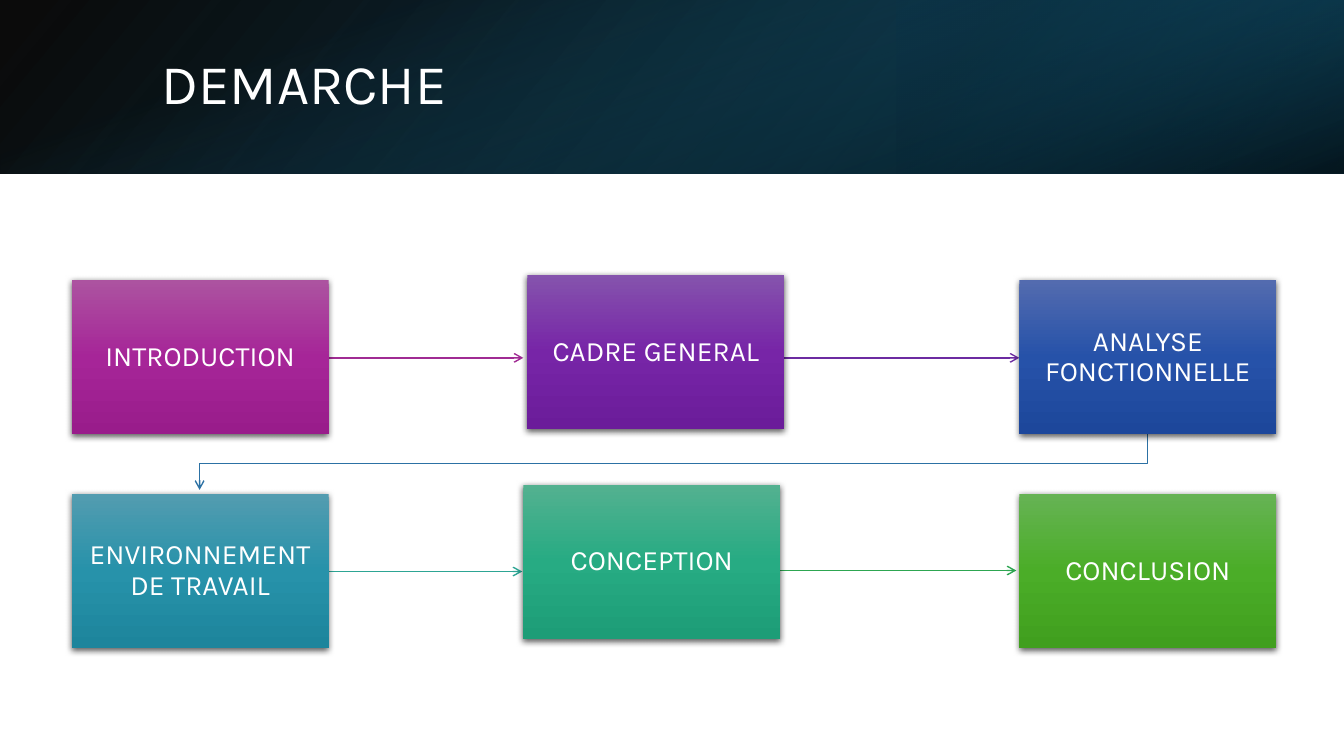
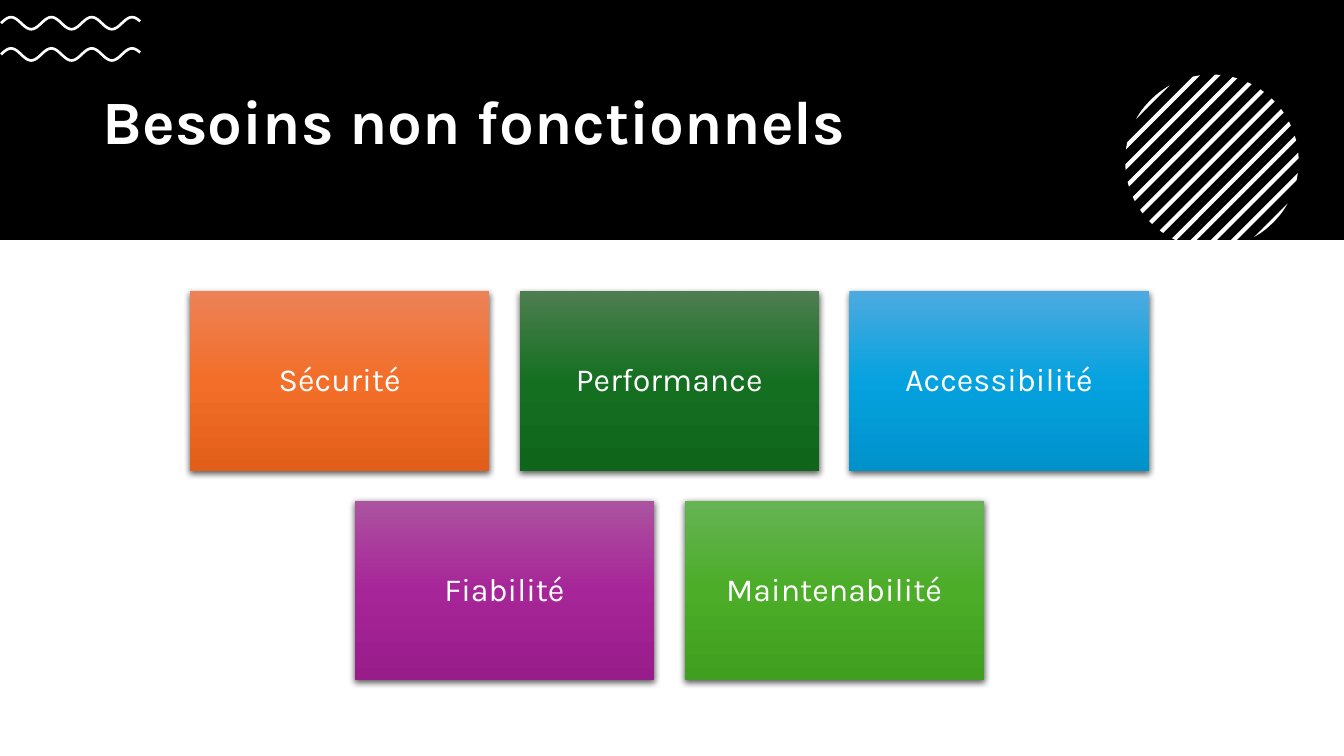
from math import pi, sin, sqrt

from lxml.etree import SubElement
from pptx import Presentation
from pptx.dml.color import RGBColor
from pptx.enum.shapes import MSO_CONNECTOR, MSO_SHAPE
from pptx.enum.text import MSO_ANCHOR, MSO_AUTO_SIZE, PP_ALIGN
from pptx.oxml.ns import qn
from pptx.util import Inches, Pt

FONT = "Karla"
WIDE, HIGH = 13.33, 7.5
HEX = {"white": "FFFFFF", "black": "000000", "teal": "156082",
       "sea": "104862", "night": "0B3041"}
# Box colours from top to bottom
TONES = {
    "pink": ("AC53A0", "A62598", "991C8B"),
    "violet": ("8553AD", "7725A7", "6B1C9A"),
    "blue": ("536BAF", "2652A9", "1D479B"),
    "lake": ("539CB0", "2792AA", "1D859C"),
    "mint": ("53B190", "27AB83", "1D9D77"),
    "green": ("66B354", "4BAD28", "409F1E"),
    "orange": ("ED8257", "F26E29", "E25F1A"),
    "forest": ("4D7E50", "156F21", "0F661B"),
    "sky": ("4CAADF", "05A2DF", "0092CB"),
}

STEP = (2.55, 1.53)
STEPS = [
    ("INTRODUCTION", "pink", 0.71, 2.78),
    ("CADRE GENERAL", "violet", 5.23, 2.73),
    ("ANALYSE FONCTIONNELLE", "blue", 10.11, 2.78),
    ("ENVIRONNEMENT DE TRAVAIL", "lake", 0.71, 4.9),
    ("CONCEPTION", "mint", 5.19, 4.81),
    ("CONCLUSION", "green", 10.11, 4.9),
]
# Left, right, height on the slide, colour
ARROWS = [
    (3.25, 5.19, 3.55, "A02B93"),
    (7.78, 10.11, 3.55, "6C2BA1"),
    (3.25, 5.18, 5.67, "2DA594"),
    (7.74, 10.08, 5.66, "2DA651"),
]
BEND = [(11.38, 4.31), (11.38, 4.6), (1.98, 4.6), (1.98, 4.86)]
BAND = 1.72
# Place, rotation, flip, stops (position, colour, opacity), angle
LAYERS = [
    ((0, 0, WIDE, BAND), 0, True,
     [(0, "black", 96), (100, "sea", 100)], 140),
    ((8.89, 0, 4.44, BAND), 180, True,
     [(19, "night", 68), (100, "teal", 79)], 320),
    (((WIDE - BAND) / 2, (BAND - WIDE) / 2, BAND, WIDE), 90, False,
     [(23, "teal", 0), (99, "black", 74)], 340),
]

CARD, GAP = (2.97, 1.78), 0.3
CARDS = [
    [("Sécurité", "orange"), ("Performance", "forest"),
     ("Accessibilité", "sky")],
    [("Fiabilité", "pink"), ("Maintenabilité", "green")],
]
FLOOR = 2.38


def rgb(code):
    return RGBColor.from_string(HEX.get(code, code))


def place(shape, *box):
    shape.left, shape.top, shape.width, shape.height = map(Inches, box)


def write(shape, text, size=20, color="white", bold=False,
          align=PP_ALIGN.CENTER, pad=0.1):
    frame = shape.text_frame
    frame.text = text
    frame.word_wrap = True
    frame.auto_size = MSO_AUTO_SIZE.NONE
    frame.vertical_anchor = MSO_ANCHOR.MIDDLE
    frame.margin_left = frame.margin_right = Inches(pad)
    para = frame.paragraphs[0]
    para.alignment, para.line_spacing = align, 0.9
    font = para.runs[0].font
    font.name, font.size, font.bold = FONT, Pt(size), bold
    font.color.rgb = rgb(color)


def shade(shape, stops, angle):
    """Fill with a gradient whose stops may be see-through."""
    shape.fill.gradient()
    grad = shape.element.spPr.find(qn("a:gradFill"))
    stack = grad.find(qn("a:gsLst"))
    for old in list(stack):
        stack.remove(old)
    for pos, color, alpha in stops:
        stop = SubElement(stack, qn("a:gs"), pos=str(pos * 1000))
        tint = SubElement(stop, qn("a:srgbClr"), val=HEX.get(color, color))
        if alpha < 100:
            SubElement(tint, qn("a:alpha"), val=str(alpha * 1000))
    grad.find(qn("a:lin")).set("ang", str(angle * 60000))


def rect(slide, *box):
    shape = slide.shapes.add_shape(MSO_SHAPE.RECTANGLE, *map(Inches, box))
    shape.shadow.inherit = False
    shape.line.fill.background()
    return shape


def tile(slide, text, tone, box, **style):
    """Draw a shaded box with a soft shadow and a label."""
    shape = rect(slide, *box)
    stops = [(50 * i, color, 100) for i, color in enumerate(TONES[tone])]
    shade(shape, stops, 90)
    glow = SubElement(shape.element.spPr.find(qn("a:effectLst")),
                      qn("a:outerShdw"), blurRad=str(Pt(4.5)),
                      dist=str(Pt(1.5)), dir="5400000", rotWithShape="0")
    tint = SubElement(glow, qn("a:srgbClr"), val=HEX["black"])
    SubElement(tint, qn("a:alpha"), val="63000")
    write(shape, text, **style)


def outline(slide, points, closed=False):
    spots = [(Inches(x), Inches(y)) for x, y in points]
    path = slide.shapes.build_freeform(*spots[0])
    path.add_line_segments(spots[1:], close=closed)
    shape = path.convert_to_shape()
    shape.shadow.inherit = False
    if closed:
        shape.fill.solid()
        shape.fill.fore_color.rgb = rgb("white")
        shape.line.fill.background()
    else:
        shape.fill.background()
    return shape


def stroke(shape, color, width=1, arrow=True):
    shape.line.color.rgb = rgb(color)
    shape.line.width = Pt(width)
    if arrow:
        SubElement(shape.line._get_or_add_ln(), qn("a:tailEnd"), type="arrow")


def title(slide, text, box, **style):
    """Set the title in front of what is drawn so far."""
    head = slide.shapes.title
    place(head, *box)
    write(head, text, align=PP_ALIGN.LEFT, **style)
    slide.shapes.element.append(head.element)


def waves(slide):
    for mid in (0.54, 0.23):
        xs = [0.01 + 0.02 * i for i in range(70)]
        curve = [(x, mid - 0.06 * sin(2 * pi * (x - 0.01) / 0.4)) for x in xs]
        stroke(outline(slide, curve), "white", 1.9, arrow=False)


def disc(slide, cx=12.02, cy=1.6, radius=0.86, count=13, steps=8):
    """Draw a disc of slanted stripes, cut off at the band's lower edge."""
    pitch, thick = 0.2, 0.06
    reach = radius * sqrt(2)
    for i in range(count):
        high = (i - (count - 1) / 2) * pitch + thick / 2
        low, high = max(high - thick, -reach), min(high, reach)
        upper, lower = [], []
        for j in range(steps + 1):
            off = low + (high - low) * j / steps
            half = sqrt(max(0, radius ** 2 - off ** 2 / 2)) / sqrt(2)
            upper.append((cx + off / 2 + half, cy + off / 2 - half))
            y = min(cy + off / 2 + half, FLOOR)
            lower.append((cx + cy + off - y, y))
        outline(slide, upper + lower[::-1], closed=True)


def plan(slide):
    for box, turn, flip, stops, angle in LAYERS:
        layer = rect(slide, *box)
        layer.rotation = turn
        if flip:
            layer.element.spPr.find(qn("a:xfrm")).set("flipH", "1")
        shade(layer, stops, angle)
    title(slide, "DEMARCHE", (1.5, 0.38, 10.98, 0.96), size=40)
    for left, right, y, color in ARROWS:
        line = slide.shapes.add_connector(
            MSO_CONNECTOR.STRAIGHT, *map(Inches, (left, y, right, y)))
        stroke(line, color)
        SubElement(line.element.spPr, qn("a:effectLst"))
    stroke(outline(slide, BEND), "2C71A4")
    for text, tone, x, y in STEPS:
        tile(slide, text, tone, (x, y, *STEP), pad=0.12)


def needs(slide):
    band = rect(slide, 0, 0, WIDE, FLOOR)
    band.fill.solid()
    band.fill.fore_color.rgb = rgb("black")
    title(slide, "Besoins non fonctionnels", (0.92, 0.62, 11.5, 1.23),
          size=44, bold=True)
    waves(slide)
    disc(slide)
    wide, high = CARD
    for i, row in enumerate(CARDS):
        left = 6.64 - (len(row) * (wide + GAP) - GAP) / 2
        for j, (text, tone) in enumerate(row):
            box = (left + j * (wide + GAP), 2.89 + i * (high + GAP), *CARD)
            tile(slide, text, tone, box, size=23)


def main():
    deck = Presentation()
    deck.slide_width, deck.slide_height = Inches(WIDE), Inches(HIGH)
    for draw in (plan, needs):
        draw(deck.slides.add_slide(deck.slide_layouts[5]))
    deck.save("out.pptx")


if __name__ == "__main__":
    main()
